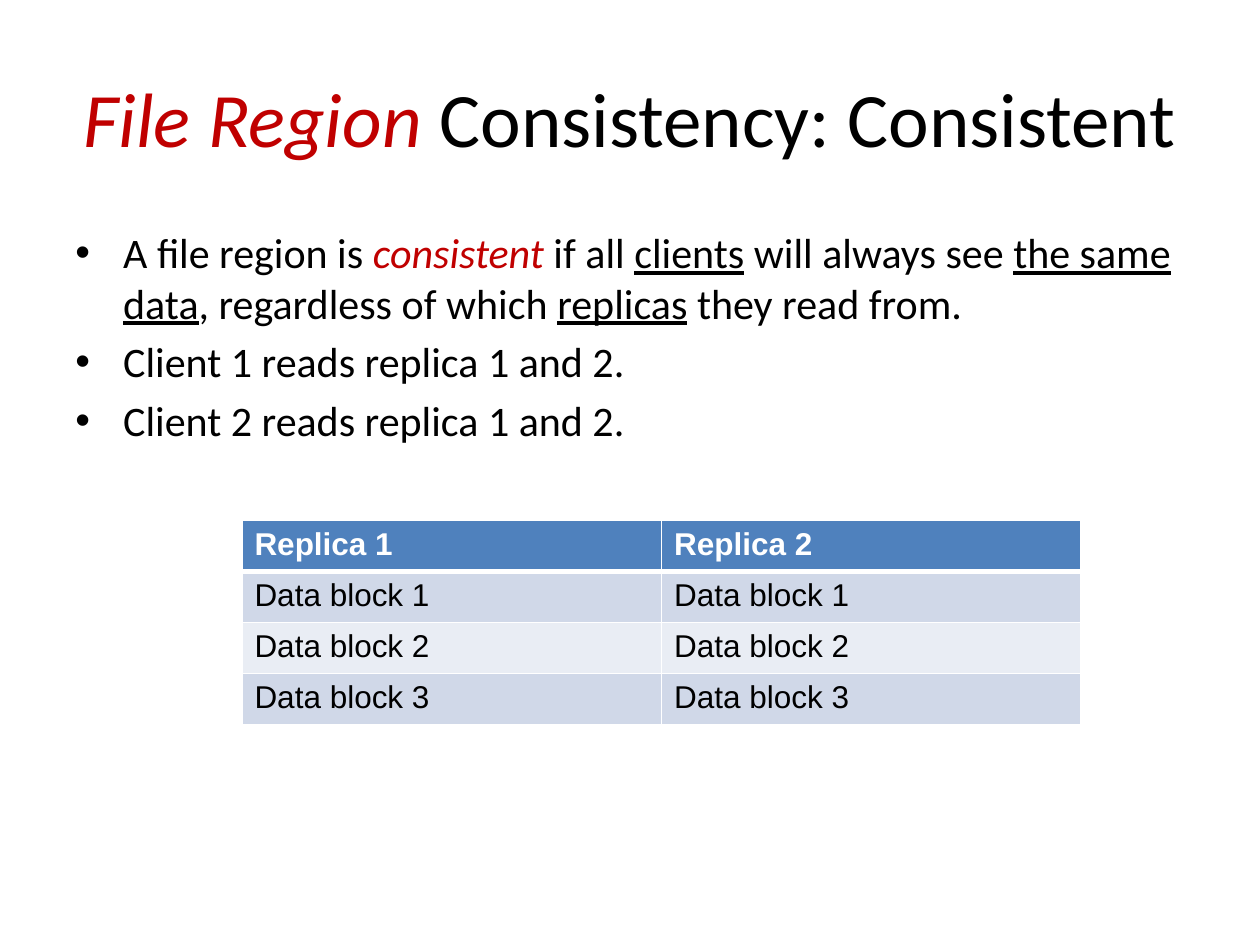
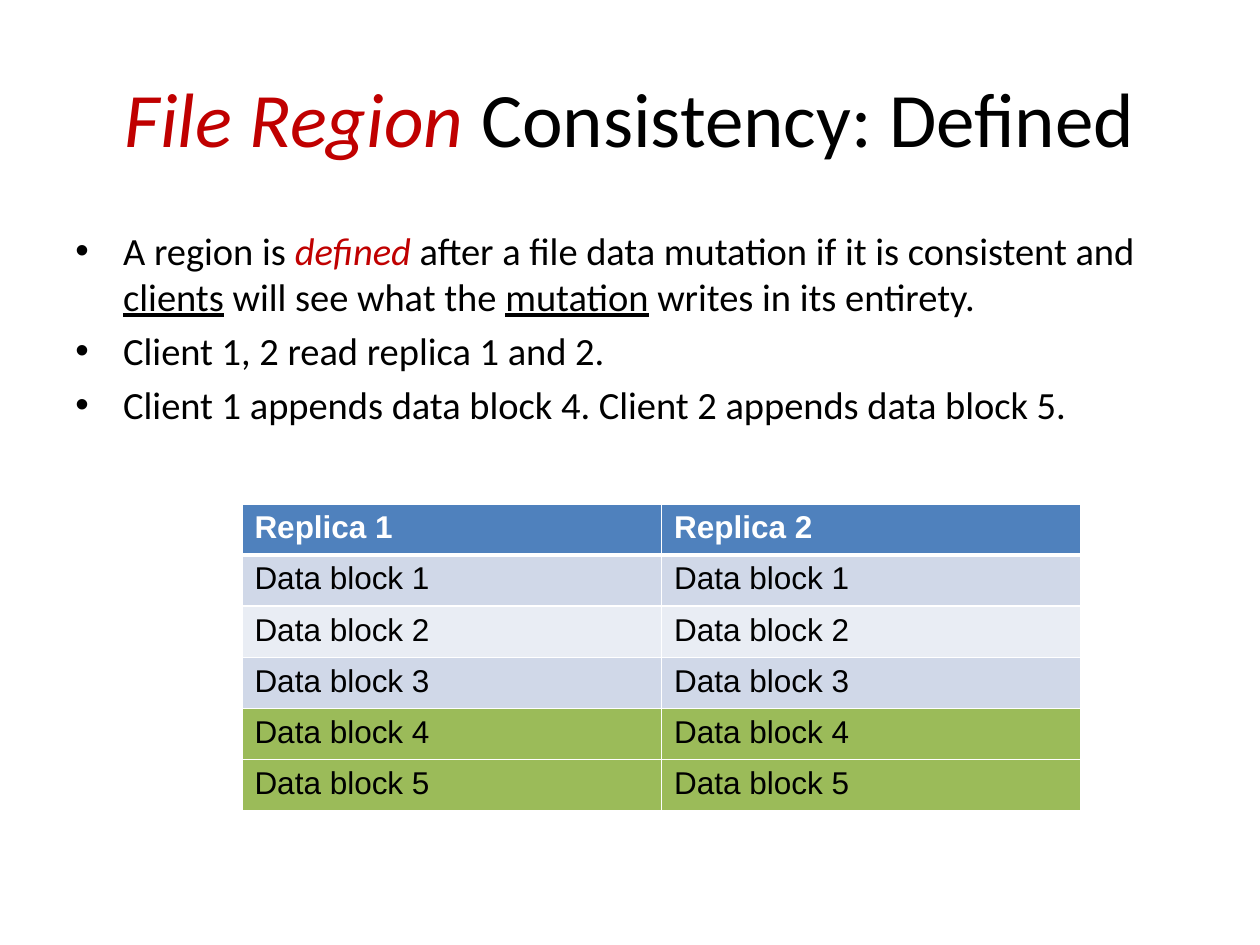
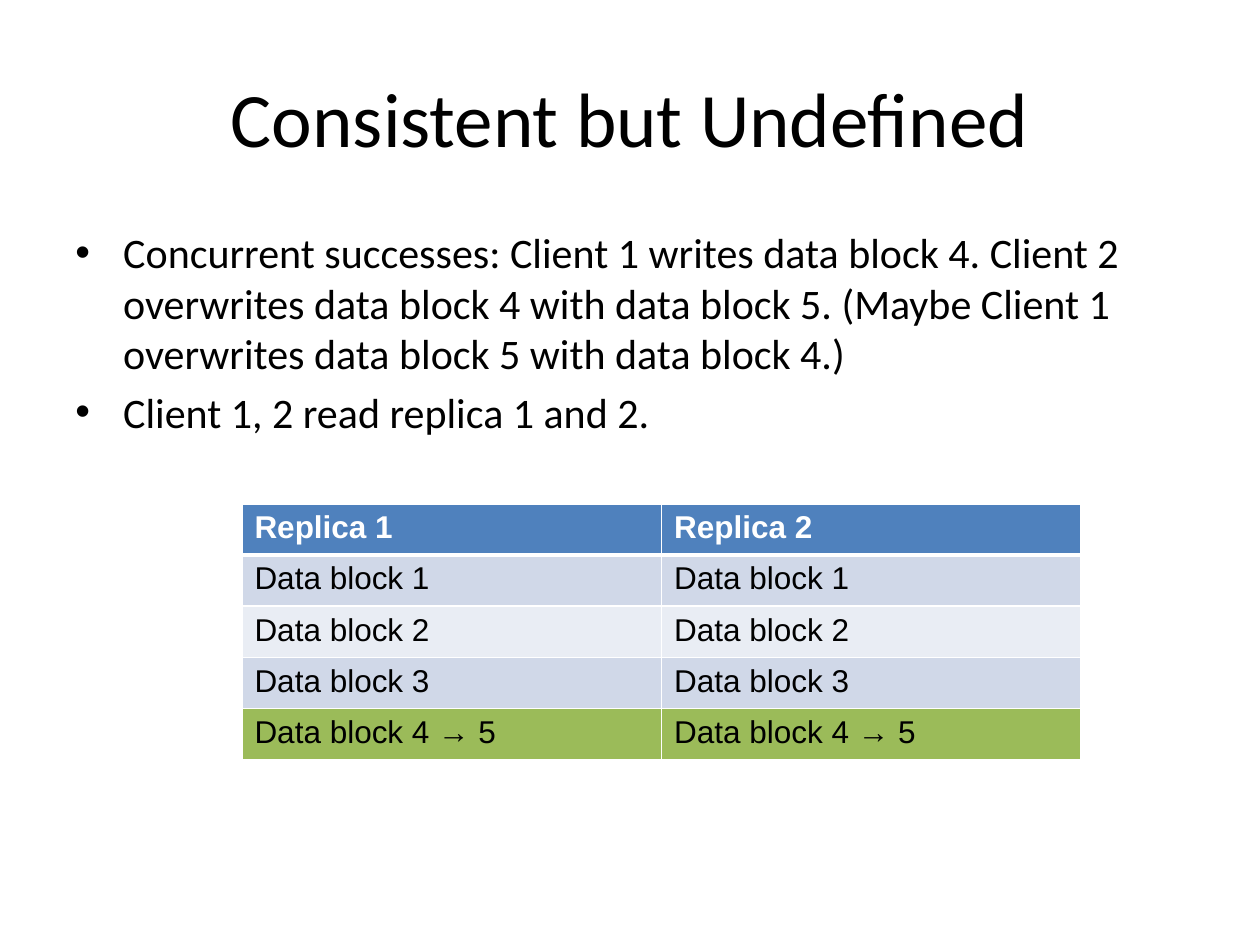
from lxml import etree
from pptx import Presentation, util as u
from pptx.dml.color import RGBColor
from pptx.enum import text as t
from pptx.oxml import ns

# Content: a run is plain text or (text, style)
HOT, LINE = "hot", "line"
HEADS = ["Replica 1", "Replica 2"]
BASE = ["Data block 1", "Data block 2", "Data block 3"]

SLIDES = [
    {
        "title": [("File Region ", HOT), "Consistency: Consistent"],
        "size": 24,
        "points": [
            ["A file region is ", ("consistent", HOT), " if all ", ("clients", LINE),
             " will always see ", ("the same data", LINE), ", regardless of which ",
             ("replicas", LINE), " they read from."],
            ["Client 1 reads replica 1 and 2."],
            ["Client 2 reads replica 1 and 2."],
        ],
        "top": 4.13,
        "new": [],
    },
    {
        "title": [("File Region ", HOT), "Consistency: Defined"],
        "size": 22,
        "points": [
            ["A region is ", ("defined", HOT),
             " after a file data mutation if it is consistent and ", ("clients", LINE),
             " will see what the ", ("mutation", LINE), " writes in its entirety."],
            ["Client 1, 2 read replica 1 and 2."],
            ["Client 1 appends data block 4. Client 2 appends data block 5."],
        ],
        "top": 4,
        "new": ["Data block 4", "Data block 5"],
    },
    {
        "title": ["Consistent but Undefined"],
        "size": 24,
        "points": [
            ["Concurrent successes: Client 1 writes data block 4. Client 2 overwrites "
             "data block 4 with data block 5. (Maybe Client 1 overwrites data block 5 "
             "with data block 4.)"],
            ["Client 1, 2 read replica 1 and 2."],
        ],
        "top": 4,
        "new": ["Data block 4 → 5"],
    },
]

# Shared look
COLORS = {"text": "000000", "hot": "C00000", "white": "FFFFFF", "head": "4F81BD",
          "odd": "D0D8E8", "even": "E9EDF4", "new": "9BBB59"}
LEFT, WIDTH = u.Inches(0.5), u.Inches(9)
INDENT = u.Inches(0.38)
GRID_LEFT, COL, ROW = u.Inches(1.92), u.Inches(3.33), u.Pt(29.2)


def color(name):
    return RGBColor.from_string(COLORS[name])


def add_runs(para, runs, size):
    for item in runs:
        words, style = (item, None) if isinstance(item, str) else item
        run = para.add_run()
        run.text = words
        font = run.font
        font.name, font.size = "Calibri", u.Pt(size)
        font.color.rgb = color("hot" if style == HOT else "text")
        if style == HOT:
            font.italic = True
        elif style == LINE:
            font.underline = True


def add_title(slide, runs):
    box = slide.shapes.title
    box.left, box.top, box.width, box.height = LEFT, u.Inches(0.3), WIDTH, u.Inches(1.25)
    frame = box.text_frame
    frame.vertical_anchor = t.MSO_ANCHOR.MIDDLE
    para = frame.paragraphs[0]
    para.alignment = t.PP_ALIGN.CENTER
    add_runs(para, runs, 44)


def add_points(slide, points, size):
    frame = slide.shapes.add_textbox(LEFT, u.Inches(1.75), WIDTH, u.Inches(4.95)).text_frame
    frame.word_wrap = True
    for i, runs in enumerate(points):
        para = frame.add_paragraph() if i else frame.paragraphs[0]
        props = para._p.get_or_add_pPr()
        props.set("marL", str(INDENT))
        props.set("indent", str(-INDENT))
        etree.SubElement(props, ns.qn("a:buFont")).set("typeface", "Arial")
        etree.SubElement(props, ns.qn("a:buChar")).set("char", "•")
        if i:
            para.space_before = u.Pt(size * 0.2)
        add_runs(para, runs, size)


def add_edges(cell, row):
    props = cell._tc.get_or_add_tcPr()
    widths = {"lnL": 1, "lnR": 1, "lnT": 3 if row == 1 else 1, "lnB": 1 if row else 3}
    for side, width in widths.items():
        edge = etree.SubElement(props, ns.qn("a:" + side), w=str(u.Pt(width)))
        fill = etree.SubElement(edge, ns.qn("a:solidFill"))
        etree.SubElement(fill, ns.qn("a:srgbClr")).set("val", COLORS["white"])


def add_grid(slide, top, new):
    # Each row: texts and fill
    rows = [(HEADS, "head")]
    rows += [([name] * 2, "even" if i % 2 else "odd") for i, name in enumerate(BASE)]
    rows += [([name] * 2, "new") for name in new]
    table = slide.shapes.add_table(len(rows), len(HEADS), GRID_LEFT, u.Inches(top),
                                   COL * len(HEADS), ROW * len(rows)).table
    for r, (names, shade) in enumerate(rows):
        table.rows[r].height = ROW
        for c, name in enumerate(names):
            cell = table.cell(r, c)
            add_edges(cell, r)
            cell.fill.solid()
            cell.fill.fore_color.rgb = color(shade)
            run = cell.text_frame.paragraphs[0].add_run()
            run.text = name
            font = run.font
            font.name, font.size, font.bold = "Arial", u.Pt(18), r == 0
            font.color.rgb = color("text" if r else "white")


def main():
    deck = Presentation()
    deck.slide_width, deck.slide_height = u.Inches(10), u.Inches(7.5)
    for data in SLIDES:
        slide = deck.slides.add_slide(deck.slide_layouts[5])
        add_title(slide, data["title"])
        add_points(slide, data["points"], data["size"])
        add_grid(slide, data["top"], data["new"])
    deck.save("out.pptx")


if __name__ == "__main__":
    main()
